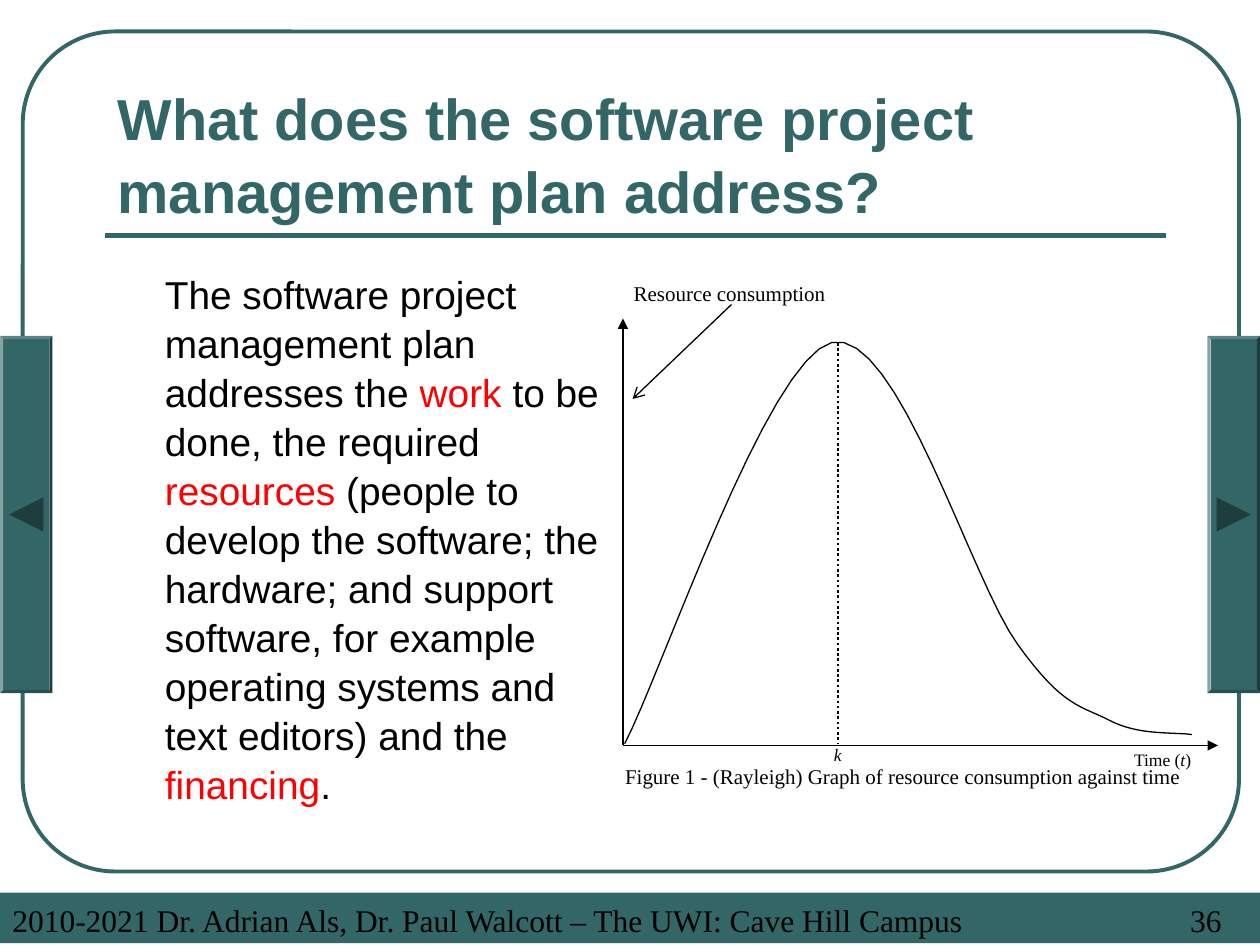
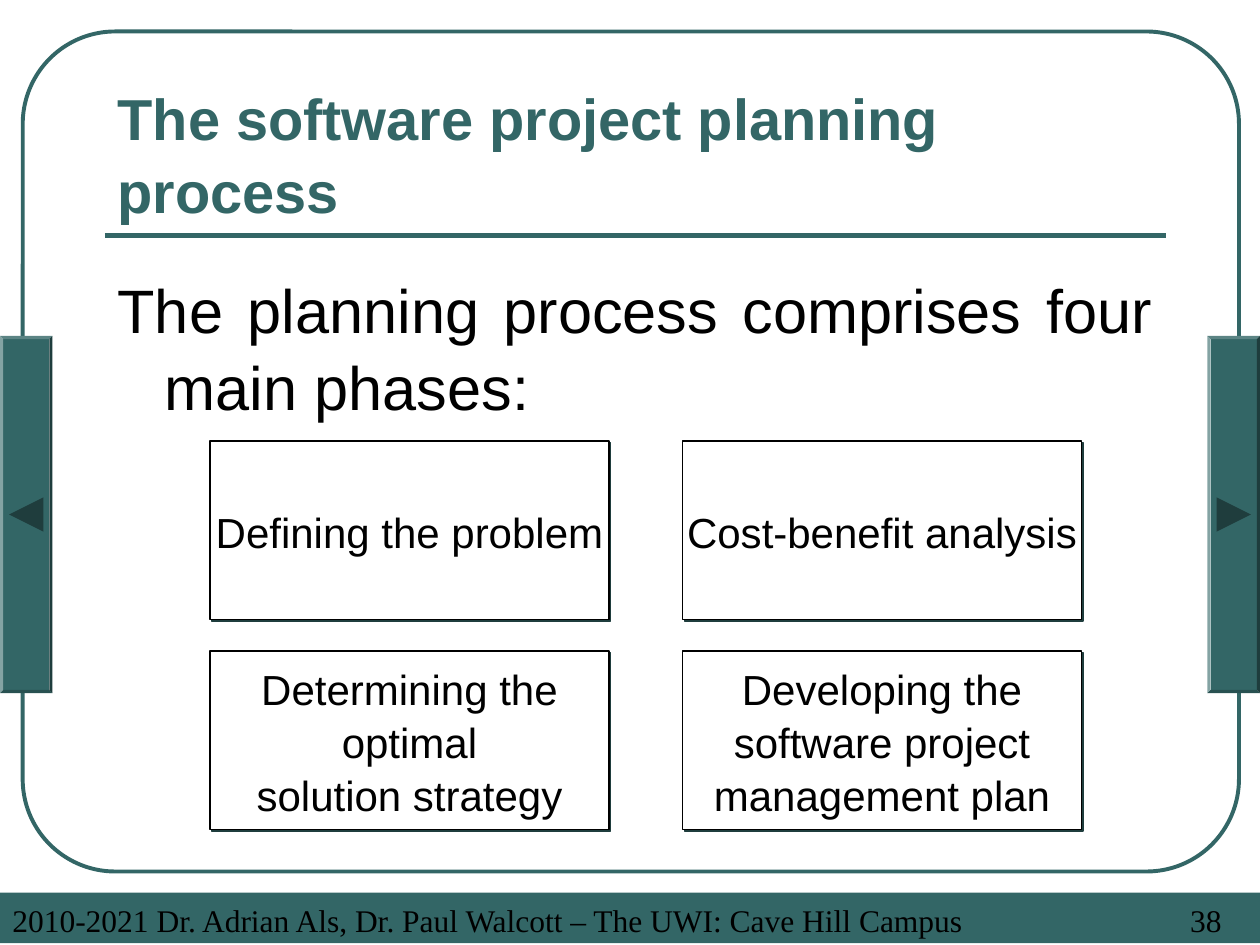
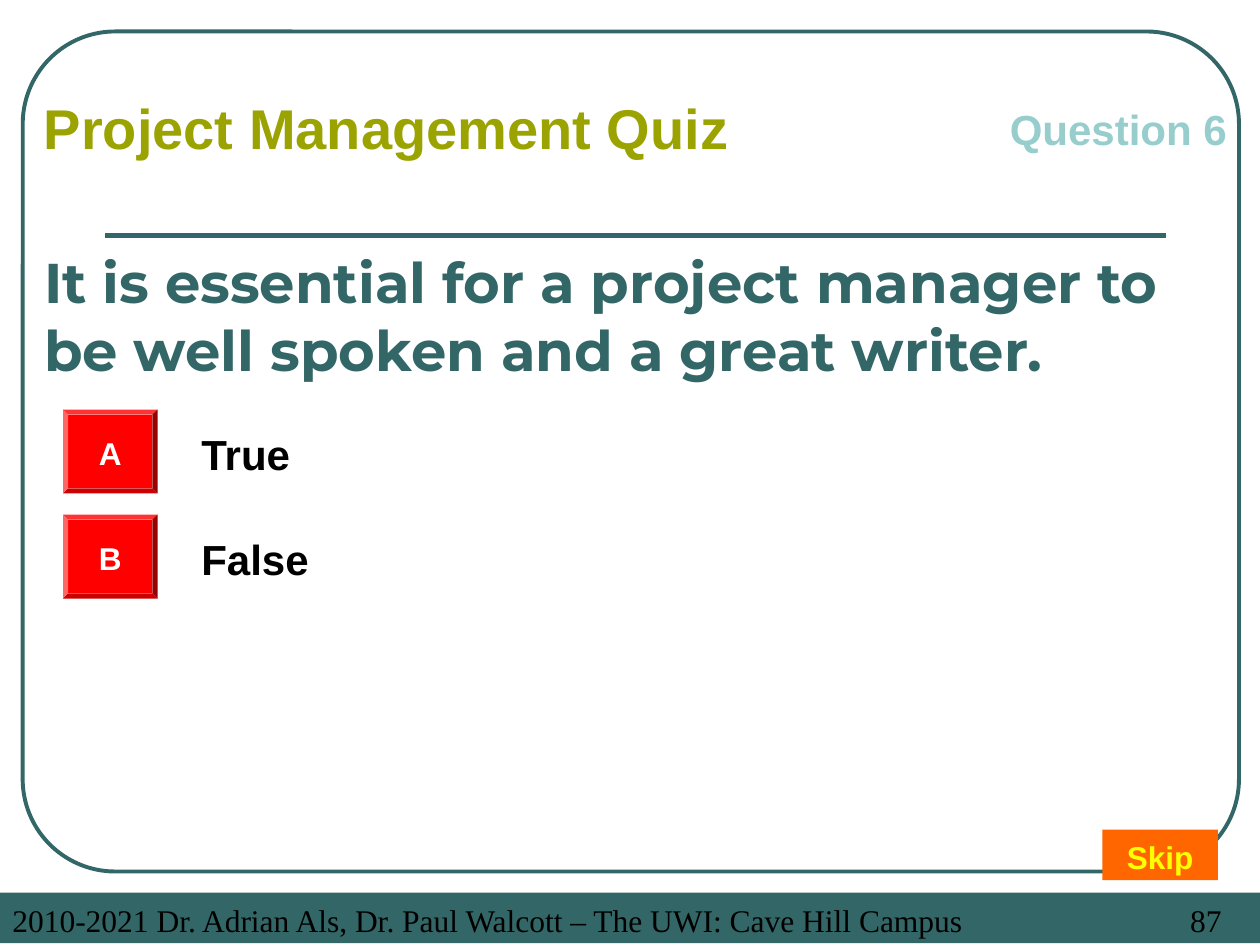
from lxml.etree import SubElement
from pptx import Presentation
from pptx.dml.color import RGBColor
from pptx.enum.dml import MSO_LINE
from pptx.enum.shapes import MSO_CONNECTOR, MSO_SHAPE as SHAPE
from pptx.enum.text import MSO_ANCHOR as ANCHOR, MSO_AUTO_SIZE, PP_ALIGN as ALIGN
from pptx.oxml.ns import qn
from pptx.util import Pt

COLORS = {
    "teal": "336666", "dark_teal": "1F3D3D", "pale_teal": "97CDCC",
    "black": "000000", "white": "FFFFFF", "red": "FF0000",
    "olive": "9BA301", "orange": "FF6600", "yellow": "FFFF00",
}
SANS, SERIF, QUIZ_FONT = "Arial", "Times New Roman", "Montserrat"
FOOTER = "2010-2021 Dr. Adrian Als, Dr. Paul Walcott – The UWI: Cave Hill Campus"
TITLE_BOX = (60, 42, 606, 90)


def rgb(name):
    return RGBColor.from_string(COLORS[name])


def points(*lengths):
    return [Pt(n) for n in lengths]


def put_text(sp, text, size=24, color="black", font=SANS, bold=False, italic=False,
             align=ALIGN.LEFT, anchor=ANCHOR.TOP, wrap=True, spacing=1.05,
             indent=None, tab=None):
    """Fill a shape; text is lines, or a list of (text, format changes) runs.

    indent is (left, first line) and removes the bullet."""
    tf = sp.text_frame
    tf.auto_size = MSO_AUTO_SIZE.NONE
    tf.word_wrap = wrap
    tf.vertical_anchor = anchor
    if isinstance(text, str):
        paragraphs = [[(line, {})] for line in text.split("\n")]
    else:
        paragraphs = [text]
    for i, runs in enumerate(paragraphs):
        p = tf.add_paragraph() if i else tf.paragraphs[0]
        pPr = p._p.get_or_add_pPr()
        if indent:
            left, first = points(*indent)
            pPr.set("marL", str(left))
            pPr.set("indent", str(first))
            SubElement(pPr, qn("a:buNone"))
        if tab:
            tabs = SubElement(pPr, qn("a:tabLst"))
            SubElement(tabs, qn("a:tab"), pos=str(Pt(tab)), algn="l")
        p.alignment = align
        p.line_spacing = spacing
        p.space_before = p.space_after = Pt(0)
        for content, changes in runs:
            r = p.add_run()
            r.text = content
            r.font.name = font
            r.font.size = Pt(size)
            r.font.bold = bold
            r.font.italic = changes.get("italic", italic)
            r.font.color.rgb = rgb(changes.get("color", color))


def add_text(slide, box, text, **fmt):
    put_text(slide.shapes.add_textbox(*points(*box)), text, **fmt)


def fill_placeholder(sp, box, text, **fmt):
    sp.left, sp.top, sp.width, sp.height = points(*box)
    put_text(sp, text, **fmt)


def add_shape(slide, kind, box, fill=None, line=None, width=0.75):
    sp = slide.shapes.add_shape(kind, *points(*box))
    sp.shadow.inherit = False
    if fill:
        sp.fill.solid()
        sp.fill.fore_color.rgb = rgb(fill)
    else:
        sp.fill.background()
    if line:
        sp.line.color.rgb = rgb(line)
        sp.line.width = Pt(width)
    else:
        sp.line.fill.background()
    return sp


def add_line(slide, start, end, color="black", width=0.75, dash=None, head=None):
    line = slide.shapes.add_connector(MSO_CONNECTOR.STRAIGHT, *points(*start, *end))
    line.line.color.rgb = rgb(color)
    line.line.width = Pt(width)
    if dash:
        line.line.dash_style = dash
    if head:
        SubElement(line.line._get_or_add_ln(), qn("a:tailEnd"), type=head)
    SubElement(line._element.spPr, qn("a:effectLst"))


def add_bevel(slide, box, fill):
    sp = add_shape(slide, SHAPE.BEVEL, box, fill)
    sp.adjustments[0] = 0.06
    return sp


def add_frame(slide, number):
    frame = add_shape(slide, SHAPE.ROUNDED_RECTANGLE, (13, 18, 695, 480),
                      line="teal", width=2.25)
    frame.adjustments[0] = 0.11
    add_line(slide, (60, 134.5), (666, 134.5), "teal", 3)
    band = add_shape(slide, SHAPE.RECTANGLE, (0, 510, 720, 29), "teal")
    put_text(band, f"{FOOTER}\t{number}", size=18, font=SERIF, tab=673)


def add_nav_buttons(slide):
    width, height, top, arrow = 30, 204, 192, 19.5
    for left, angle in ((690, 90), (0, 270)):
        add_bevel(slide, (left, top, width, height), "teal")
        box = (left + (width - arrow) / 2, top + (height - arrow) / 2, arrow, arrow)
        add_shape(slide, SHAPE.ISOSCELES_TRIANGLE, box, "dark_teal").rotation = angle


def new_slide(prs, layout, number, title, box=TITLE_BOX, **fmt):
    slide = prs.slides.add_slide(prs.slide_layouts[layout])
    add_frame(slide, number)
    fmt = {"size": 33, "anchor": ANCHOR.BOTTOM, **fmt}
    fill_placeholder(slide.shapes.title, box, title, color="teal", bold=True, **fmt)
    return slide


def bezier_points(start, segments, steps=16):
    """Sample a chain of cubic curves, each given by two controls and an end."""
    result = []
    for c1, c2, end in segments:
        for i in range(1, steps + 1):
            t = i / steps
            weights = ((1 - t) ** 3, 3 * t * (1 - t) ** 2, 3 * t * t * (1 - t), t ** 3)
            result.append(tuple(
                sum(w * q[axis] for w, q in zip(weights, (start, c1, c2, end)))
                for axis in (0, 1)))
        start = end
    return result


def add_rayleigh_graph(slide, left, top, width, height):
    """Draw the sketch; the box's lower left corner is the origin of the axes."""
    def at(x, y):
        return left + x, top + y

    peak = 122.8
    add_line(slide, at(0, height), at(width, height), head="triangle")
    add_line(slide, at(0, height), at(0, 26), head="triangle")

    start = (1, 269)
    segments = [
        ((21.3, 230.6), (82.5, 49.2), (119.2, 39.8)),
        ((156.6, 30.5), (199.1, 176.6), (225.8, 212.6)),
        ((251.7, 248.6), (261.8, 247.2), (278.3, 255.8)),
        ((294.9, 264.5), (315.8, 262.3), (325.1, 263.8)),
    ]
    builder = slide.shapes.build_freeform(*points(*at(*start)))
    builder.add_line_segments(
        [points(*at(*q)) for q in bezier_points(start, segments)], close=False)
    curve = builder.convert_to_shape()
    curve.shadow.inherit = False
    curve.fill.background()
    curve.line.color.rgb = rgb("black")
    curve.line.width = Pt(0.75)

    add_line(slide, at(peak, 40), at(peak, 269), width=1.5, dash=MSO_LINE.ROUND_DOT)
    add_text(slide, (*at(peak - 22.5, 265), 45, 25), "k", size=10, font=SERIF,
             italic=True, align=ALIGN.CENTER)
    add_text(slide, (*at(285, 268), 55, 23),
             [("Time (", {}), ("t", {"italic": True}), (")", {})], size=10, font=SERIF)
    add_text(slide, (*at(-20, 276), 360, 36),
             "Figure 1 - (Rayleigh) Graph of resource consumption against time",
             size=12, font=SERIF, align=ALIGN.CENTER)
    add_text(slide, (*at(-1, 0), 303, 22), "Resource consumption", size=12, font=SERIF)
    add_line(slide, at(62, 18), at(5.5, 72), head="arrow")


def add_phase_grid(slide, left, top, phases):
    width, height, column_step, row_step = 228, 102, 270, 120
    for i, phase in enumerate(phases):
        row, column = divmod(i, 2)
        box = (left + column * column_step, top + row * row_step, width, height)
        sp = add_shape(slide, SHAPE.RECTANGLE, box, "white", "black")
        effects = sp._element.spPr.find(qn("a:effectLst"))
        shadow = SubElement(effects, qn("a:outerShdw"), dist=str(Pt(1.4)),
                            dir="2700000", algn="ctr", rotWithShape="0")
        SubElement(shadow, qn("a:srgbClr"), val=COLORS["dark_teal"])
        put_text(sp, phase, align=ALIGN.CENTER, anchor=ANCHOR.MIDDLE, wrap=False)


def add_answers(slide, left, top, answers):
    for i, (letter, answer) in enumerate(answers):
        y = top + 60 * i
        button = add_bevel(slide, (left, y, 54, 48), "red")
        put_text(button, letter, size=18, color="white", bold=True,
                 align=ALIGN.CENTER, anchor=ANCHOR.MIDDLE, wrap=False)
        add_text(slide, (left + 72, y + 6, 590, 36), answer, bold=True)


def plan_slide(prs):
    slide = new_slide(prs, 1, 36, "What does the software project management plan address?")
    red = {"color": "red"}
    fill_placeholder(slide.placeholders[1], (60, 150, 297, 318), [
        ("The software project management plan addresses the ", {}),
        ("work", red),
        (" to be done, the required ", {}),
        ("resources", red),
        (" (people to develop the software; the hardware; and support software, "
         "for example operating systems and text editors) and the ", {}),
        ("financing", red),
        (".", {}),
    ], size=22.2, indent=(27, 0))
    add_rayleigh_graph(slide, 356, 156, 340, 270)
    add_nav_buttons(slide)


def phases_slide(prs):
    slide = new_slide(prs, 1, 38, "The software project planning process")
    fill_placeholder(slide.placeholders[1], (60, 150, 606, 318),
                     "The planning process comprises four main phases:",
                     size=35, align=ALIGN.JUSTIFY, indent=(27, -27))
    add_phase_grid(slide, 120, 252, [
        "Defining the problem",
        "Cost-benefit analysis",
        "Determining the\noptimal\nsolution strategy",
        "Developing the\nsoftware project\nmanagement plan",
    ])
    add_nav_buttons(slide)


def quiz_slide(prs):
    slide = new_slide(
        prs, 5, 87,
        "It is essential for a project manager to be well spoken and a great writer.",
        box=(18, 126, 684, 108), size=32, font=QUIZ_FONT, anchor=ANCHOR.MIDDLE, spacing=1.0)
    add_answers(slide, 36, 234, [("A", "True"), ("B", "False")])
    add_text(slide, (570, 54, 150, 36), "Question 6", color="pale_teal", bold=True)
    add_text(slide, (18, 48, 468, 46), "Project Management Quiz",
             size=32, color="olive", bold=True)
    skip = add_shape(slide, SHAPE.RECTANGLE, (630, 474, 66, 29), "orange")
    put_text(skip, "Skip", size=18, color="yellow", bold=True, align=ALIGN.CENTER)


def main():
    prs = Presentation()
    prs.slide_width, prs.slide_height = points(720, 540)
    plan_slide(prs)
    phases_slide(prs)
    quiz_slide(prs)
    prs.save("out.pptx")


if __name__ == "__main__":
    main()
